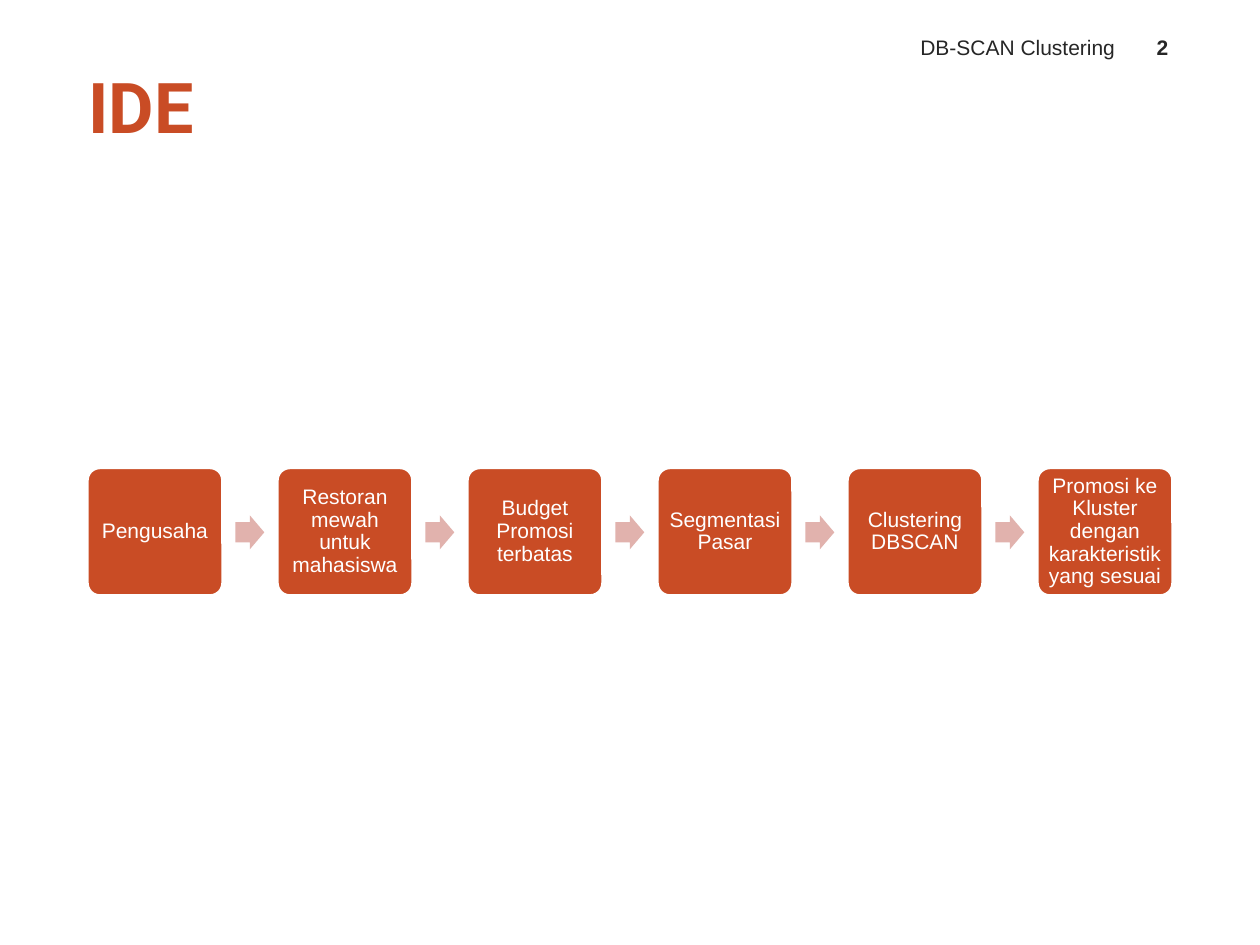
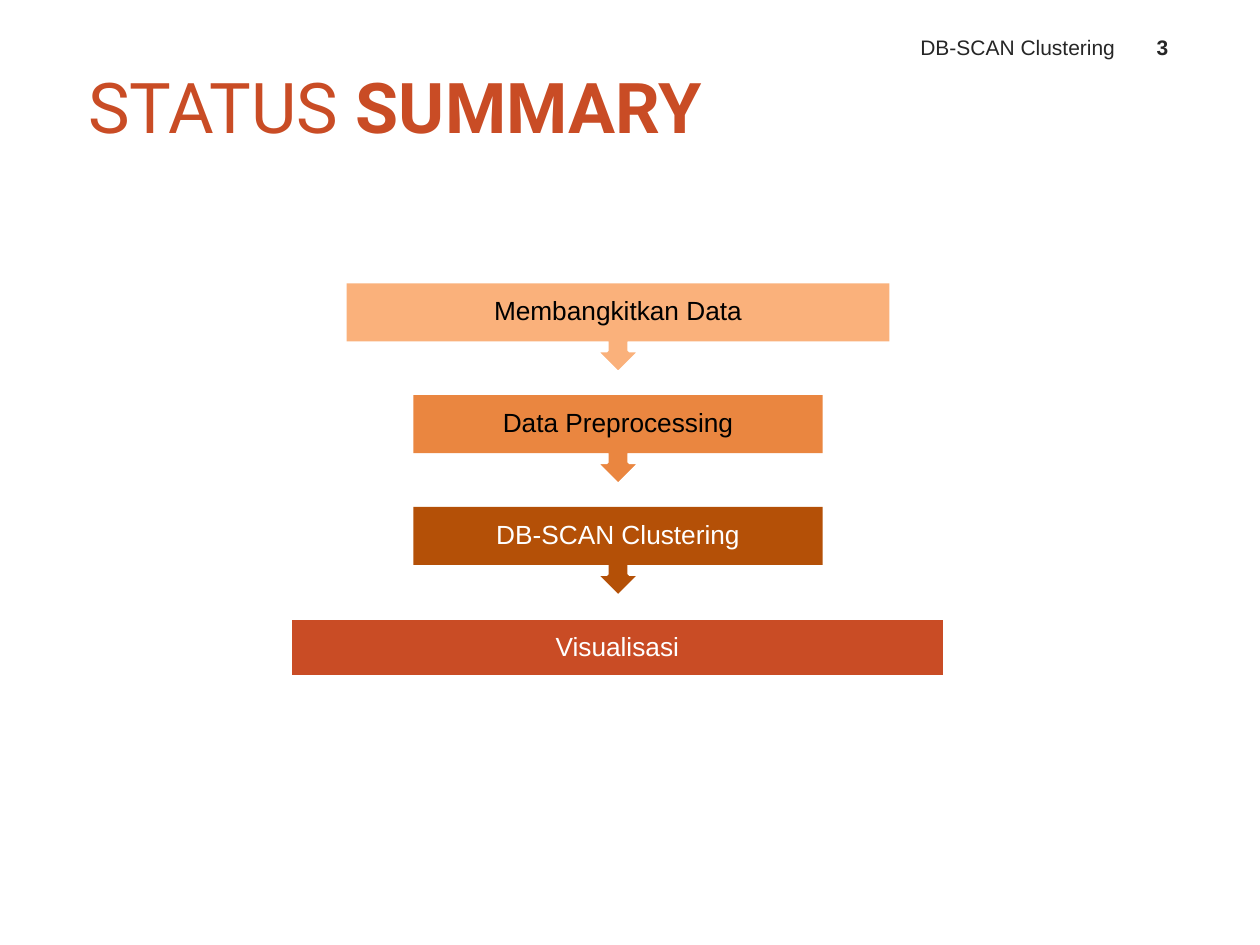
from pptx import Presentation
from pptx.dml.color import RGBColor
from pptx.enum.shapes import MSO_SHAPE
from pptx.enum.text import MSO_ANCHOR, MSO_AUTO_SIZE, PP_ALIGN
from pptx.util import Inches, Pt

RUST = RGBColor(0xC9, 0x4C, 0x25)
PEACH = RGBColor(0xFA, 0xB1, 0x7B)
ORANGE = RGBColor(0xEA, 0x86, 0x40)
BROWN = RGBColor(0xB4, 0x50, 0x07)
PINK = RGBColor(0xE1, 0xB2, 0xAD)
CHARCOAL = RGBColor(0x26, 0x26, 0x26)
WHITE = RGBColor(0xFF, 0xFF, 0xFF)
BLACK = RGBColor(0x00, 0x00, 0x00)

BODY_FONT = "Arial"
TITLE_FONT = "Roboto"
RUNNING_TITLE = "DB-SCAN Clustering"

IDEA_STEPS = [
    "Pengusaha",
    "Restoran mewah untuk mahasiswa",
    "Budget Promosi terbatas",
    "Segmentasi Pasar",
    "Clustering DBSCAN",
    "Promosi ke Kluster dengan karakteristik yang sesuai",
]

# label, left, width, fill, text colour
STAGES = [
    ("Membangkitkan Data", 2.75, 4.31, PEACH, BLACK),
    ("Data Preprocessing", 3.28, 3.25, ORANGE, BLACK),
    ("DB-SCAN Clustering", 3.28, 3.25, BROWN, WHITE),
    ("Visualisasi", 2.3, 5.2, RUST, WHITE),
]


def add_span(para, text, size, color, font=BODY_FONT, bold=False):
    span = para.add_run()
    span.text = text
    span.font.name = font
    span.font.size = Pt(size)
    span.font.bold = bold
    span.font.color.rgb = color


def set_frame(frame, anchor, side_margin, end_margin):
    frame.word_wrap = True
    frame.auto_size = MSO_AUTO_SIZE.NONE
    frame.vertical_anchor = anchor
    frame.margin_left = frame.margin_right = Inches(side_margin)
    frame.margin_top = frame.margin_bottom = Inches(end_margin)


def add_shape(page, kind, left, top, width, height, fill, outlined=False):
    shape = page.shapes.add_shape(
        kind, Inches(left), Inches(top), Inches(width), Inches(height))
    shape.shadow.inherit = False
    shape.fill.solid()
    shape.fill.fore_color.rgb = fill
    if outlined:
        shape.line.color.rgb = WHITE
        shape.line.width = Pt(2)
    else:
        shape.line.fill.background()
    return shape


def label_shape(shape, text, size, color, margin):
    set_frame(shape.text_frame, MSO_ANCHOR.MIDDLE, margin, margin)
    para = shape.text_frame.paragraphs[0]
    para.alignment = PP_ALIGN.CENTER
    para.line_spacing = 0.9
    add_span(para, text, size, color)


def add_header_text(page, text, left, width, align, bold=False):
    box = page.shapes.add_textbox(
        Inches(left), Inches(0.19), Inches(width), Inches(0.33))
    set_frame(box.text_frame, MSO_ANCHOR.BOTTOM, 0.1, 0.05)
    para = box.text_frame.paragraphs[0]
    para.alignment = align
    add_span(para, text, 12, CHARCOAL, bold=bold)


def add_page(deck, number, light_title, bold_title):
    """Add a slide with its two-weight title, running title and number."""
    page = deck.slides.add_slide(deck.slide_layouts[5])
    title = page.shapes.title
    title.left, title.top = Inches(0.5), Inches(0.4)
    title.width, title.height = Inches(5.33), Inches(0.87)
    frame = title.text_frame
    set_frame(frame, MSO_ANCHOR.MIDDLE, 0, 0.05)
    frame.margin_left = Inches(0.2)
    para = frame.paragraphs[0]
    para.alignment = PP_ALIGN.LEFT
    if light_title:
        add_span(para, light_title, 40, RUST, TITLE_FONT)
    add_span(para, bold_title, 40, RUST, TITLE_FONT, bold=True)
    add_header_text(page, RUNNING_TITLE, 6.25, 2.7, PP_ALIGN.RIGHT)
    add_header_text(page, str(number), 8.95, 0.55, PP_ALIGN.CENTER, bold=True)
    return page


def add_idea_flow(page):
    first_left, last_left = 0.69, 8.23
    pitch = (last_left - first_left) / (len(IDEA_STEPS) - 1)
    for index, step in enumerate(IDEA_STEPS):
        left = first_left + index * pitch
        if index:
            arrow = add_shape(page, MSO_SHAPE.RIGHT_ARROW,
                              left - 0.33, 4.09, 0.23, 0.27, PINK)
            arrow.adjustments[0] = 0.6
            arrow.adjustments[1] = 0.5
        box = add_shape(page, MSO_SHAPE.ROUNDED_RECTANGLE,
                        left, 3.71, 1.08, 1.02, RUST, outlined=True)
        box.adjustments[0] = 0.1
        label_shape(box, step, 12, WHITE, 0.05)


def add_stage_funnel(page):
    first_top, pitch, band_height = 2.25, 0.887, 0.46
    for index, (label, left, width, fill, color) in enumerate(STAGES):
        top = first_top + index * pitch
        is_last = index == len(STAGES) - 1
        if not is_last:
            callout = add_shape(page, MSO_SHAPE.UP_ARROW_CALLOUT,
                                left, top, width, 0.71, fill, outlined=True)
            callout.rotation = 180
        band = add_shape(page, MSO_SHAPE.RECTANGLE, left, top, width,
                         band_height, fill, outlined=is_last)
        label_shape(band, label, 15, color, 0.12)


def main():
    deck = Presentation()
    deck.slide_width, deck.slide_height = Inches(10), Inches(7.5)
    add_idea_flow(add_page(deck, 2, "", "IDE"))
    add_stage_funnel(add_page(deck, 3, "STATUS", " SUMMARY"))
    deck.save("out.pptx")


if __name__ == "__main__":
    main()
